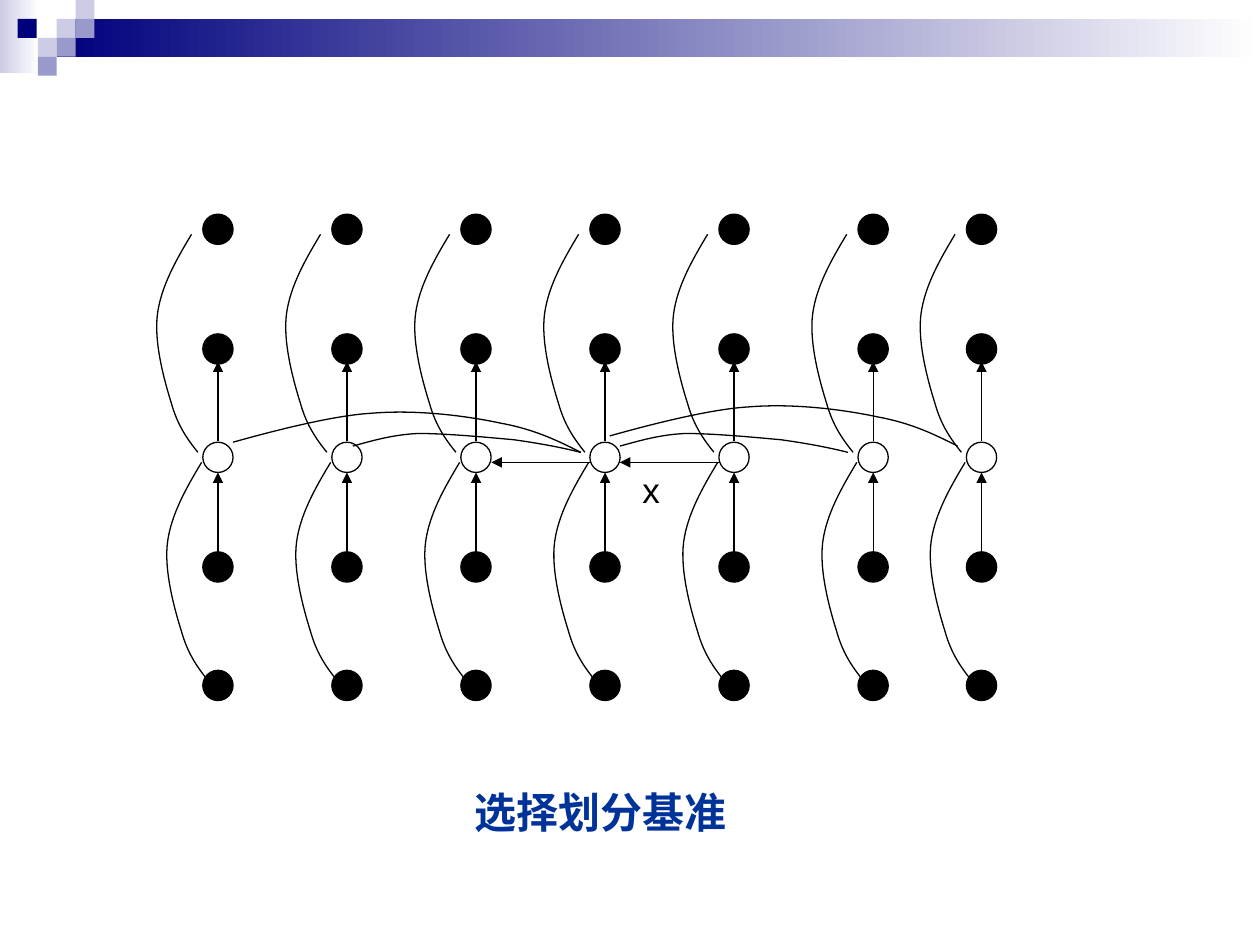
from dataclasses import dataclass
from lxml.etree import SubElement
from pptx import Presentation
from pptx.dml.color import RGBColor
from pptx.enum.shapes import MSO_CONNECTOR, MSO_SHAPE
from pptx.enum.text import MSO_ANCHOR, MSO_AUTO_SIZE, PP_ALIGN
from pptx.oxml.ns import qn
from pptx.util import Inches, Pt


@dataclass(frozen=True)
class Theme:
    navy: str = "00007D"
    mid: str = "9999CC"
    pale: str = "CCCCE6"
    white: str = "FFFFFF"
    black: str = "000000"
    title: str = "003399"
    font: str = "Arial"
    head: int = 24
    label: int = 20
    line: float = 0.75


THEME = Theme()

# Column centres and disc tops, relative to the diagram box
COLS = [0.51 + 1.024 * i for i in range(5)] + [5.71, 6.57]
ROWS = [0, 0.95, 1.81, 2.68, 3.62]
PIVOT = 2  # row of open discs
DISC = 0.24

# Bezier points, relative to the column centre or to the arc's right end
BOW = [(-0.16, 1.89), (-0.24, 1.79), (-0.32, 1.68), (-0.37, 1.5), (-0.43, 1.31),
       (-0.51, 1.01), (-0.48, 0.79), (-0.45, 0.57), (-0.33, 0.36), (-0.21, 0.16)]
WIDE = [(0, 0), (-0.18, -0.09), (-0.36, -0.18), (-0.63, -0.23), (-0.91, -0.29),
        (-1.3, -0.34), (-1.66, -0.31), (-2.01, -0.29), (-2.58, -0.13), (-2.76, -0.08)]
NEAR = [(0, 0), (-0.16, -0.04), (-0.32, -0.07), (-0.53, -0.1), (-0.75, -0.12),
        (-1.07, -0.15), (-1.29, -0.15), (-1.5, -0.14), (-1.66, -0.09), (-1.81, -0.05)]


def rgb(code):
    return RGBColor.from_string(code)


def stroke(line):
    line.color.rgb = rgb(THEME.black)
    line.width = Pt(THEME.line)


def shape(slide, kind, left, top, width, height, color, fade=False):
    item = slide.shapes.add_shape(
        kind, Inches(left), Inches(top), Inches(width), Inches(height))
    item.shadow.inherit = False
    if fade:
        item.fill.gradient()
        item.fill.gradient_angle = 0
        for stop, code in zip(item.fill.gradient_stops, (color, THEME.white)):
            stop.color.rgb = rgb(code)
    else:
        item.fill.solid()
        item.fill.fore_color.rgb = rgb(color)
    item.line.fill.background()
    return item


def arrow(slide, x1, y1, x2, y2):
    item = slide.shapes.add_connector(
        MSO_CONNECTOR.STRAIGHT, Inches(x1), Inches(y1), Inches(x2), Inches(y2))
    stroke(item.line)
    props = item._element.spPr
    SubElement(props.find(qn("a:ln")), qn("a:tailEnd"), type="triangle")
    SubElement(props, qn("a:effectLst"))


def curve(slide, left, top, points):
    start, *rest = [(Inches(left + x), Inches(top + y)) for x, y in points]
    pen = slide.shapes.build_freeform(*start)
    pen.add_line_segments(rest, close=False)
    item = pen.convert_to_shape()
    item.shadow.inherit = False
    item.fill.background()
    stroke(item.line)
    # Each three straight segments become one cubic Bezier
    route = next(item._element.iter(qn("a:path")))
    for i, seg in enumerate(route.findall(qn("a:lnTo"))):
        if i % 3 == 0:
            cubic = SubElement(route, qn("a:cubicBezTo"))
        cubic.append(seg[0])
        route.remove(seg)


def header(slide, left, top):
    # Fading bars
    for x, y, width, height, color in [(0, 0, 0.31, 0.58, THEME.pale),
                                       (0.45, 0.15, 9.55, 0.3, THEME.navy)]:
        shape(slide, MSO_SHAPE.RECTANGLE, left + x, top + y, width, height, color, True)
    # Mosaic of squares
    side = 0.15
    for x, y, color in [(0.45, 0.15, THEME.pale), (0.6, 0, THEME.pale),
                        (0.6, 0.15, THEME.mid), (0.3, 0.3, THEME.pale),
                        (0.14, 0.15, THEME.navy), (0.45, 0.3, THEME.mid),
                        (0.3, 0.45, THEME.mid)]:
        shape(slide, MSO_SHAPE.RECTANGLE, left + x, top + y, side, side, color)


def column(slide, mid, top):
    for row, y in enumerate(ROWS):
        color = THEME.white if row == PIVOT else THEME.black
        disc = shape(slide, MSO_SHAPE.OVAL, mid - DISC / 2, top + y, DISC, DISC, color)
        stroke(disc.line)
    for y in (1.8, 2.68):
        arrow(slide, mid, top + y, mid, top + y - 0.63)
    for dx, dy in ((0, 0), (0.08, 1.81)):
        curve(slide, mid + dx, top + dy, BOW)


def diagram(slide, left, top):
    for mid in COLS:
        column(slide, left + mid, top)
    # Arrows and arcs that link the medians
    for x in (3.47, 4.49):
        arrow(slide, left + x, top + 1.97, left + x - 0.79, top + 1.97)
    for x, y, points in [(3.39, 1.89, NEAR), (3.39, 1.89, WIDE),
                         (5.51, 1.89, NEAR), (6.38, 1.84, WIDE)]:
        curve(slide, left + x, top + y, points)
    # Pivot label
    box = slide.shapes.add_textbox(
        Inches(left + 3.78), Inches(top + 1.97), Inches(0.47), Inches(0.44))
    write(box.text_frame, "x", THEME.label, THEME.black)


def write(frame, text, size, color, bold=False, align=PP_ALIGN.LEFT):
    frame.word_wrap = True
    frame.auto_size = MSO_AUTO_SIZE.SHAPE_TO_FIT_TEXT
    frame.vertical_anchor = MSO_ANCHOR.TOP
    frame.text = text
    para = frame.paragraphs[0]
    para.alignment = align
    para.font.name = THEME.font
    para.font.size = Pt(size)
    para.font.bold = bold
    para.font.color.rgb = rgb(color)


def caption(slide, left, top, width, height):
    title = slide.shapes.title
    title.left, title.top = Inches(left), Inches(top)
    title.width, title.height = Inches(width), Inches(height)
    write(title.text_frame, "选择划分基准", THEME.head, THEME.title, True, PP_ALIGN.CENTER)


def main():
    deck = Presentation()
    deck.slide_width, deck.slide_height = Inches(10), Inches(7.5)
    slide = deck.slides.add_slide(deck.slide_layouts[5])
    header(slide, 0, 0)
    diagram(slide, 1.22, 1.7)
    caption(slide, 3.11, 6.19, 3.31, 0.5)
    deck.save("out.pptx")


if __name__ == "__main__":
    main()
